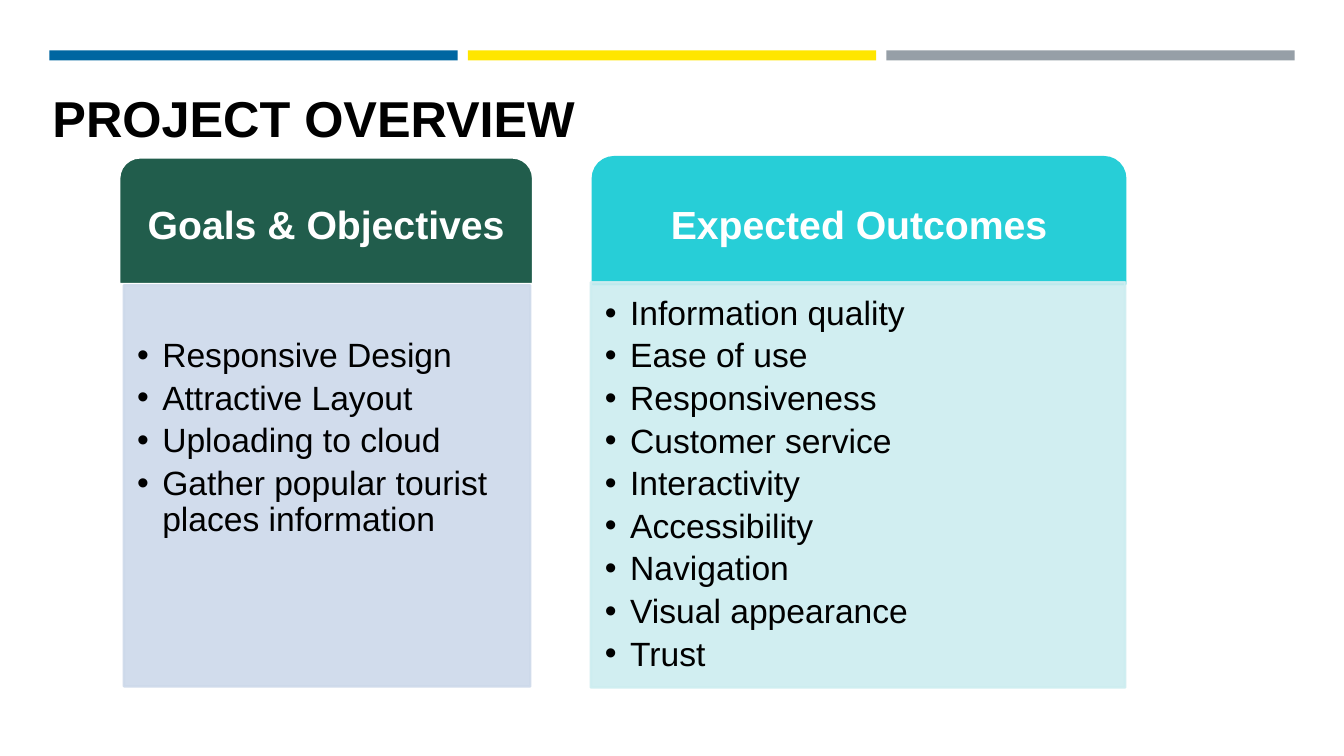
from lxml import etree
from pptx import Presentation
from pptx import util as u
from pptx.dml.color import RGBColor
from pptx.enum import shapes, text
from pptx.oxml import ns

PX = 9144
FONT = "Arial"
BLACK = RGBColor(0x00, 0x00, 0x00)
WHITE = RGBColor(0xFF, 0xFF, 0xFF)
BLUE = RGBColor(0x00, 0x66, 0xA1)
YELLOW = RGBColor(0xFF, 0xE6, 0x00)
GRAY = RGBColor(0x96, 0x9F, 0xA7)
GREEN = RGBColor(0x21, 0x5D, 0x4C)
TURQUOISE = RGBColor(0x27, 0xCE, 0xD7)
PALE_BLUE = RGBColor(0xCD, 0xD9, 0xEA)
PALE_TURQUOISE = RGBColor(0xCD, 0xED, 0xF0)

GOALS = [
    "Responsive Design",
    "Attractive Layout",
    "Uploading to cloud",
    "Gather popular tourist places information",
]
OUTCOMES = [
    "Information quality",
    "Ease of use",
    "Responsiveness",
    "Customer service",
    "Interactivity",
    "Accessibility",
    "Navigation",
    "Visual appearance",
    "Trust",
]


def px(*lengths):
    return [u.Emu(length * PX) for length in lengths]


def add_box(slide, kind, box, fill, line=None, width=1.75):
    shape = slide.shapes.add_shape(kind, *px(*box))
    shape.shadow.inherit = False
    shape.fill.solid()
    shape.fill.fore_color.rgb = fill
    if line is None:
        shape.line.fill.background()
    else:
        shape.line.color.rgb = line
        shape.line.width = u.Pt(width)
    return shape


def set_opacity(shape, percent):
    for color in shape._element.spPr.iter(ns.qn("a:srgbClr")):
        alpha = etree.SubElement(color, ns.qn("a:alpha"))
        alpha.set("val", str(percent * 1000))


def set_frame(shape, anchor, insets):
    frame = shape.text_frame
    frame.word_wrap = True
    frame.auto_size = text.MSO_AUTO_SIZE.NONE
    frame.vertical_anchor = anchor
    (frame.margin_left, frame.margin_top,
     frame.margin_right, frame.margin_bottom) = px(*insets)
    return frame


def add_run(paragraph, words, size, color, bold=False):
    run = paragraph.add_run()
    run.text = words
    run.font.name = FONT
    run.font.size = u.Pt(size)
    run.font.bold = bold
    run.font.color.rgb = color


def add_bullet(paragraph):
    properties = paragraph._p.get_or_add_pPr()
    properties.set("marL", str(25 * PX))
    properties.set("indent", str(-25 * PX))
    etree.SubElement(properties, ns.qn("a:buFont")).set("typeface", FONT)
    etree.SubElement(properties, ns.qn("a:buChar")).set("char", "•")


def set_title(slide, words):
    title = slide.shapes.title
    title.left, title.top, title.width, title.height = px(42, 43, 1206, 108)
    frame = set_frame(title, text.MSO_ANCHOR.BOTTOM, (10, 5, 10, 5))
    paragraph = frame.paragraphs[0]
    paragraph.alignment = text.PP_ALIGN.LEFT
    add_run(paragraph, words, 36, BLACK, bold=True)


def add_header(slide, box, words, fill, line, width):
    kind = shapes.MSO_SHAPE.ROUND_2_SAME_RECTANGLE
    header = add_box(slide, kind, box, fill, line, width)
    frame = set_frame(header, text.MSO_ANCHOR.MIDDLE, (22, 15, 22, 9))
    paragraph = frame.paragraphs[0]
    paragraph.alignment = text.PP_ALIGN.CENTER
    paragraph.line_spacing = 0.9
    add_run(paragraph, words, 28, WHITE, bold=True)


def add_list(slide, box, items, fill, insets):
    panel = add_box(slide, shapes.MSO_SHAPE.RECTANGLE, box, fill, fill)
    set_opacity(panel, 90)
    frame = set_frame(panel, text.MSO_ANCHOR.TOP, insets)
    for index, item in enumerate(items):
        paragraph = frame.add_paragraph() if index else frame.paragraphs[0]
        paragraph.alignment = text.PP_ALIGN.LEFT
        paragraph.line_spacing = 0.9
        paragraph.space_after = u.Pt(4.5)
        add_bullet(paragraph)
        add_run(paragraph, item, 24, BLACK)


def main():
    presentation = Presentation()
    presentation.slide_width, presentation.slide_height = px(1333, 750)
    slide = presentation.slides.add_slide(presentation.slide_layouts[5])
    for index, color in enumerate((BLUE, YELLOW, GRAY)):
        bar = (49 + index * 415, 50, 405, 10)
        add_box(slide, shapes.MSO_SHAPE.RECTANGLE, bar, color)
    set_title(slide, "PROJECT OVERVIEW")
    add_header(slide, (118, 156, 411, 126), "Goals & Objectives", GREEN, WHITE, 2)
    add_list(slide, (123, 283, 403, 398), GOALS, PALE_BLUE, (13, 53, 17, 19))
    add_header(slide, (588, 156, 528, 126), "Expected Outcomes",
               TURQUOISE, TURQUOISE, 1.75)
    add_list(slide, (586, 280, 530, 402), OUTCOMES, PALE_TURQUOISE,
             (14, 14, 19, 21))
    presentation.save("out.pptx")


if __name__ == "__main__":
    main()
